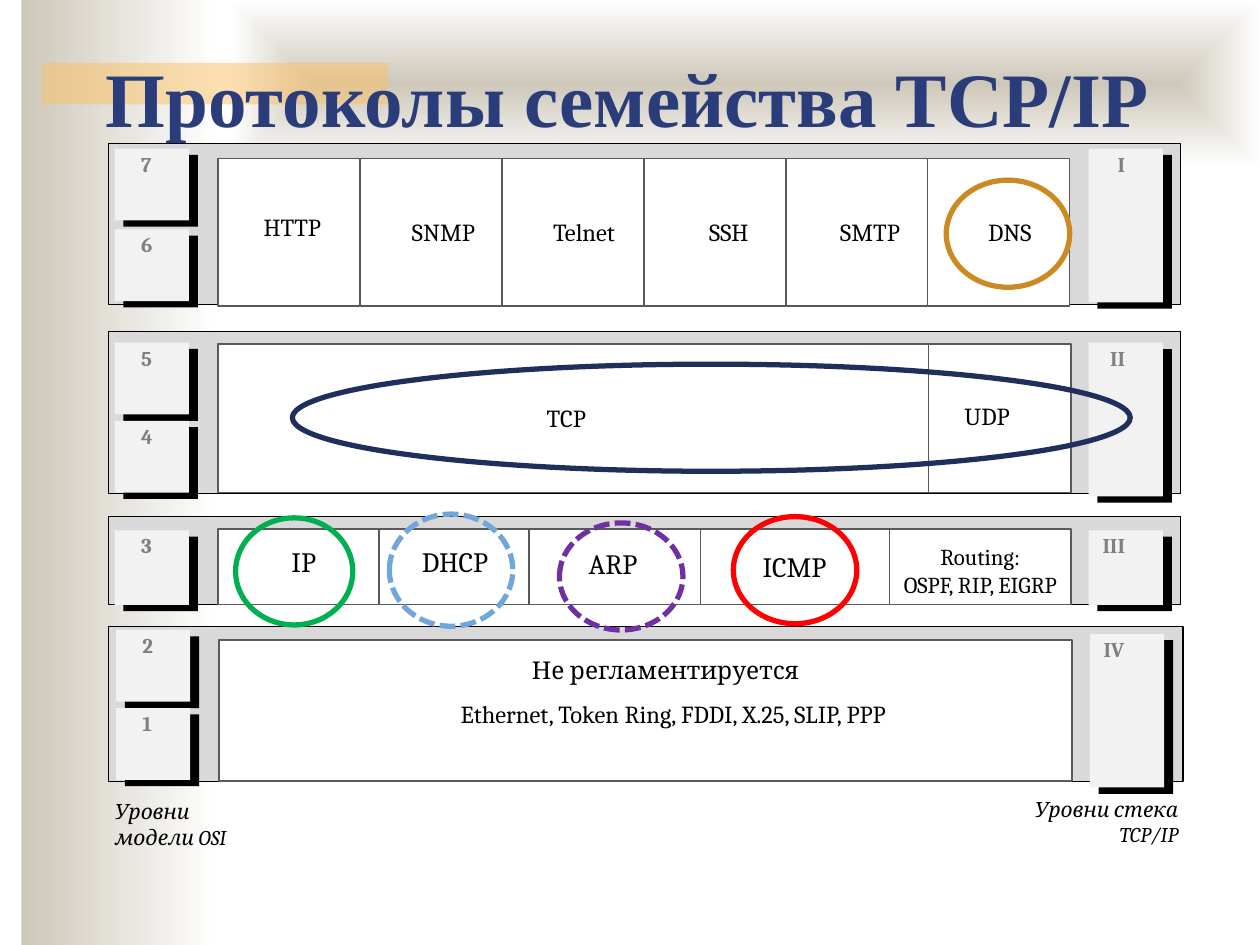
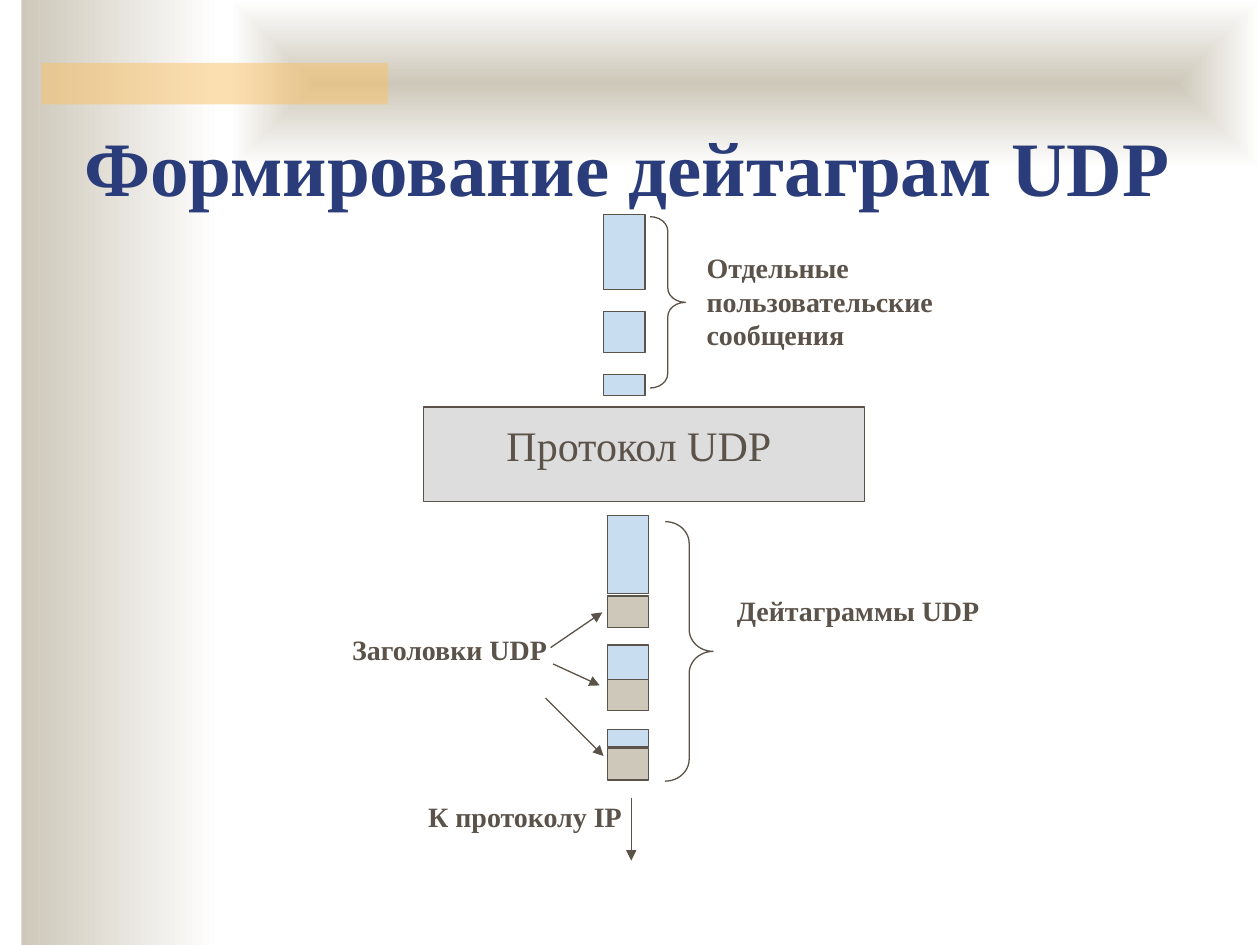
from dataclasses import dataclass

from lxml.etree import SubElement
from pptx import Presentation
from pptx.dml.color import RGBColor
from pptx.enum.dml import MSO_LINE
from pptx.enum.shapes import MSO_CONNECTOR, MSO_SHAPE
from pptx.enum.text import PP_ALIGN
from pptx.oxml import parse_xml
from pptx.oxml.ns import nsdecls, qn
from pptx.shapes.autoshape import Shape
from pptx.slide import Slide
from pptx.util import Inches, Pt

Box = tuple[float, float, float, float]


@dataclass(frozen=True)
class Theme:
    title_font: str = "Times New Roman"
    diagram_font: str = "Cambria"
    title: str = "2A3D7A"
    sand: str = "CEC8BA"
    accent: str = "FAC164"
    black: str = "000000"
    white: str = "FFFFFF"
    panel: str = "D9D9D9"
    tile: str = "F2F2F2"
    numeral: str = "808080"
    cell_line: str = "595959"
    ink: str = "5B5249"
    data: str = "C9DDF1"
    protocol: str = "DDDDDD"
    title_size: int = 44
    protocol_size: int = 24
    label_size: int = 16
    cell_size: int = 14
    routing_size: int = 13
    small_size: int = 12


THEME = Theme()


@dataclass(frozen=True)
class Label:
    text: str
    left: float
    top: float
    width: float
    height: float = 0.31
    size: int = THEME.cell_size


@dataclass(frozen=True)
class Tile:
    numeral: str
    left: float
    top: float
    height: float = 0.57
    indent: float = 0.21


@dataclass(frozen=True)
class Layer:
    panel: Box
    tiles: list[Tile]
    cell_top: float
    cell_height: float
    cell_edges: list[float]
    labels: list[Label]


@dataclass(frozen=True)
class Ring:
    box: Box
    color: str
    dashed: bool = False


@dataclass(frozen=True)
class Caption:
    text: str
    box: Box
    align: PP_ALIGN = PP_ALIGN.LEFT


@dataclass(frozen=True)
class Datagram:
    data_top: float
    data_height: float
    header_top: float


def even_edges(start: float, end: float, count: int) -> list[float]:
    return [start + (end - start) * index / count for index in range(count + 1)]


LAYERS = [
    Layer((0.86, 1.14, 8.51, 1.28),
          [Tile("7", 0.91, 1.18), Tile("6", 0.91, 1.82), Tile("I", 8.64, 1.18, 1.22, 0.23)],
          1.26, 1.17, even_edges(1.73, 8.49, 6),
          [Label("HTTP", 1.86, 1.68, 0.92), Label("SNMP", 3.09, 1.72, 0.86),
           Label("Telnet", 4.33, 1.72, 0.61), Label("SSH", 5.42, 1.72, 0.73),
           Label("SMTP", 6.5, 1.72, 0.81), Label("DNS", 7.64, 1.72, 0.75)]),
    Layer((0.86, 2.63, 8.51, 1.29),
          [Tile("5", 0.91, 2.72), Tile("4", 0.91, 3.34), Tile("II", 8.64, 2.72, 1.22, 0.17)],
          2.73, 1.18, [1.73, 7.37, 8.5],
          [Label("TCP", 4.18, 3.2, 0.63), Label("UDP", 7.47, 3.18, 0.73)]),
    Layer((0.86, 4.1, 8.51, 0.7),
          [Tile("3", 0.91, 4.21, 0.59), Tile("III", 8.64, 4.21, 0.59, 0.11)],
          4.2, 0.6, [1.73, 3.01, 4.2, 5.56, 7.06, 8.5],
          [Label("IP", 2.19, 4.32, 0.44, size=THEME.label_size),
           Label("DHCP", 3.3, 4.32, 0.62, size=THEME.label_size),
           Label("ARP", 4.45, 4.34, 0.83, size=THEME.label_size),
           Label("ICMP", 5.9, 4.36, 0.81, size=THEME.label_size),
           Label("Routing:\nOSPF, RIP, EIGRP", 7.03, 4.31, 1.5, 0.41, THEME.routing_size)]),
    Layer((0.86, 4.97, 8.53, 1.23),
          [Tile("2", 0.92, 5), Tile("1", 0.92, 5.62), Tile("IV", 8.65, 5.03, 1.22, 0.11)],
          5.08, 1.12, [1.74, 8.51],
          [Label("Не регламентируется", 3.99, 5.2, 2.58),
           Label("Ethernet, Token Ring, FDDI, X.25, SLIP, PPP", 2.74, 5.55, 5.21)]),
]

RINGS = [
    Ring((1.87, 4.11, 0.93, 0.85), "00B050"),
    Ring((3.09, 4.08, 0.98, 0.89), "71A6DA", True),
    Ring((4.44, 4.15, 0.98, 0.85), "7030A0", True),
    Ring((2.32, 2.89, 6.65, 0.85), "202E5C"),
    Ring((5.82, 4.1, 0.98, 0.85), "FF0000"),
    Ring((7.51, 1.43, 0.98, 0.85), "CB8B22"),
]

AXIS_CAPTIONS = [
    Caption("Уровни модели OSI", (0.91, 6.34, 0.96, 0.31)),
    Caption("Уровни стека TCP/IP", (8.2, 6.32, 1.15, 0.31), PP_ALIGN.RIGHT),
]

MESSAGES = [(1.7, 0.6), (2.47, 0.33), (2.97, 0.17)]
DATAGRAMS = [Datagram(4.09, 0.62, 4.73), Datagram(5.12, 0.28, 5.39), Datagram(5.79, 0.14, 5.94)]
BRACES = [((5.16, 1.72, 0.28, 1.36), 0.41), ((5.28, 4.14, 0.38, 2.06), 0.46)]
UDP_CAPTIONS = [
    Caption("Отдельные пользовательские сообщения", (5.51, 1.94, 2.25, 0.9)),
    Caption("Дейтаграммы UDP", (5.75, 4.66, 2.25, 0.37)),
    Caption("Заголовки UDP", (2.68, 4.97, 1.76, 0.37), PP_ALIGN.RIGHT),
    Caption("К протоколу IP", (3.3, 6.3, 2.25, 0.37)),
]
ARROWS = [
    (4.37, 5.14, 4.78, 4.86),
    (4.39, 5.27, 4.76, 5.44),
    (4.33, 5.54, 4.79, 6),
    (5.01, 6.33, 5.01, 6.83),
]


def add_figure(slide: Slide, box: Box, fill: str | None = None, line: str | None = None,
               line_width: float = 0.75, kind: MSO_SHAPE = MSO_SHAPE.RECTANGLE) -> Shape:
    shape = slide.shapes.add_shape(kind, *map(Inches, box))
    shape.shadow.inherit = False
    if fill:
        shape.fill.solid()
        shape.fill.fore_color.rgb = RGBColor.from_string(fill)
    else:
        shape.fill.background()
    if line:
        shape.line.color.rgb = RGBColor.from_string(line)
        shape.line.width = Pt(line_width)
    else:
        shape.line.fill.background()
    return shape


def add_text(slide: Slide, text: str, box: Box, size: int, color: str, font: str,
             align: PP_ALIGN = PP_ALIGN.LEFT, bold: bool = False, italic: bool = False,
             margins: Box = (0, 0, 0, 0)) -> None:
    frame = slide.shapes.add_textbox(*map(Inches, box)).text_frame
    frame.word_wrap = True
    (frame.margin_left, frame.margin_top,
     frame.margin_right, frame.margin_bottom) = map(Inches, margins)
    frame.text = text
    for paragraph in frame.paragraphs:
        paragraph.alignment = align
        paragraph.font.name = font
        paragraph.font.size = Pt(size)
        paragraph.font.bold = bold
        paragraph.font.italic = italic
        paragraph.font.color.rgb = RGBColor.from_string(color)


def add_gradient(slide: Slide, box: Box, from_center: bool = False) -> None:
    shape = add_figure(slide, box)
    shape.fill.gradient()
    shape.fill.gradient_angle = 0
    for stop, color in zip(shape.fill.gradient_stops, (THEME.sand, THEME.white)):
        stop.color.rgb = RGBColor.from_string(color)
    if from_center:
        gradient = shape._element.spPr.find(qn("a:gradFill"))
        gradient.replace(gradient.find(qn("a:lin")), parse_xml(
            f'<a:path {nsdecls("a")} path="shape">'
            '<a:fillToRect l="50000" t="50000" r="50000" b="50000"/></a:path>'))


def add_arrow(slide: Slide, ends: Box) -> None:
    arrow = slide.shapes.add_connector(MSO_CONNECTOR.STRAIGHT, *map(Inches, ends))
    arrow.line.color.rgb = RGBColor.from_string(THEME.ink)
    arrow.line.width = Pt(0.75)
    SubElement(arrow.line._get_or_add_ln(), qn("a:tailEnd"), type="triangle")
    SubElement(arrow._element.spPr, qn("a:effectLst"))


def add_titled_slide(presentation: Presentation, title: str, title_top: float) -> Slide:
    slide = presentation.slides.add_slide(presentation.slide_layouts[6])
    add_gradient(slide, (0.17, 0, 1.58, 7.5))
    add_gradient(slide, (1.83, 0, 8.17, 1.33), from_center=True)
    strip = add_figure(slide, (0.33, 0.5, 2.75, 0.33), THEME.accent)
    strip_color = next(strip._element.spPr.iter(qn("a:srgbClr")))
    SubElement(strip_color, qn("a:alpha"), val="50000")
    add_text(slide, title, (0.12, title_top, 9.72, 1.1), THEME.title_size, THEME.title,
             THEME.title_font, PP_ALIGN.CENTER, bold=True, margins=(0.1, 0.11, 0.1, 0.05))
    return slide


def add_tile(slide: Slide, tile: Tile) -> None:
    add_figure(slide, (tile.left + 0.07, tile.top + 0.05, 0.59, tile.height), THEME.black)
    add_figure(slide, (tile.left, tile.top, 0.59, tile.height), THEME.tile)
    add_text(slide, tile.numeral, (tile.left + tile.indent, tile.top + 0.02, 0.42, 0.4),
             THEME.small_size, THEME.numeral, THEME.diagram_font, bold=True)


def add_layer(slide: Slide, layer: Layer) -> None:
    add_figure(slide, layer.panel, THEME.panel, THEME.black, 0.65)
    for tile in layer.tiles:
        add_tile(slide, tile)
    for left, right in zip(layer.cell_edges, layer.cell_edges[1:]):
        add_figure(slide, (left, layer.cell_top, right - left, layer.cell_height),
                   THEME.white, THEME.cell_line, 0.85)
    for label in layer.labels:
        add_text(slide, label.text, (label.left, label.top, label.width, label.height),
                 label.size, THEME.black, THEME.diagram_font, PP_ALIGN.CENTER)


def build_protocol_slide(presentation: Presentation) -> None:
    slide = add_titled_slide(presentation, "Протоколы семейства TCP/IP", 0.29)
    for layer in LAYERS:
        add_layer(slide, layer)
    for caption in AXIS_CAPTIONS:
        add_text(slide, caption.text, caption.box, THEME.small_size, THEME.black,
                 THEME.diagram_font, caption.align, italic=True)
    for ring in RINGS:
        oval = add_figure(slide, ring.box, None, ring.color, 3, MSO_SHAPE.OVAL)
        if ring.dashed:
            oval.line.dash_style = MSO_LINE.SQUARE_DOT


def build_udp_slide(presentation: Presentation) -> None:
    slide = add_titled_slide(presentation, "Формирование дейтаграм UDP", 0.84)
    margins = (0.1, 0.05, 0.1, 0.05)
    add_figure(slide, (3.36, 3.23, 3.5, 0.75), THEME.protocol, THEME.ink)
    add_text(slide, "Протокол UDP", (3.36, 3.28, 3.42, 0.5), THEME.protocol_size, THEME.ink,
             THEME.title_font, PP_ALIGN.CENTER, margins=margins)
    for top, height in MESSAGES:
        add_figure(slide, (4.79, top, 0.33, height), THEME.data, THEME.ink)
    for datagram in DATAGRAMS:
        add_figure(slide, (4.82, datagram.data_top, 0.33, datagram.data_height),
                   THEME.data, THEME.ink)
        add_figure(slide, (4.82, datagram.header_top, 0.33, 0.25), THEME.sand, THEME.ink)
    for box, curl in BRACES:
        brace = add_figure(slide, box, None, THEME.ink, kind=MSO_SHAPE.RIGHT_BRACE)
        brace.adjustments[0] = curl
    for caption in UDP_CAPTIONS:
        add_text(slide, caption.text, caption.box, THEME.label_size, THEME.ink,
                 THEME.title_font, caption.align, bold=True, margins=margins)
    for ends in ARROWS:
        add_arrow(slide, ends)


def main() -> None:
    presentation = Presentation()
    presentation.slide_width = Inches(10)
    presentation.slide_height = Inches(7.5)
    build_protocol_slide(presentation)
    build_udp_slide(presentation)
    presentation.save("out.pptx")


if __name__ == "__main__":
    main()
